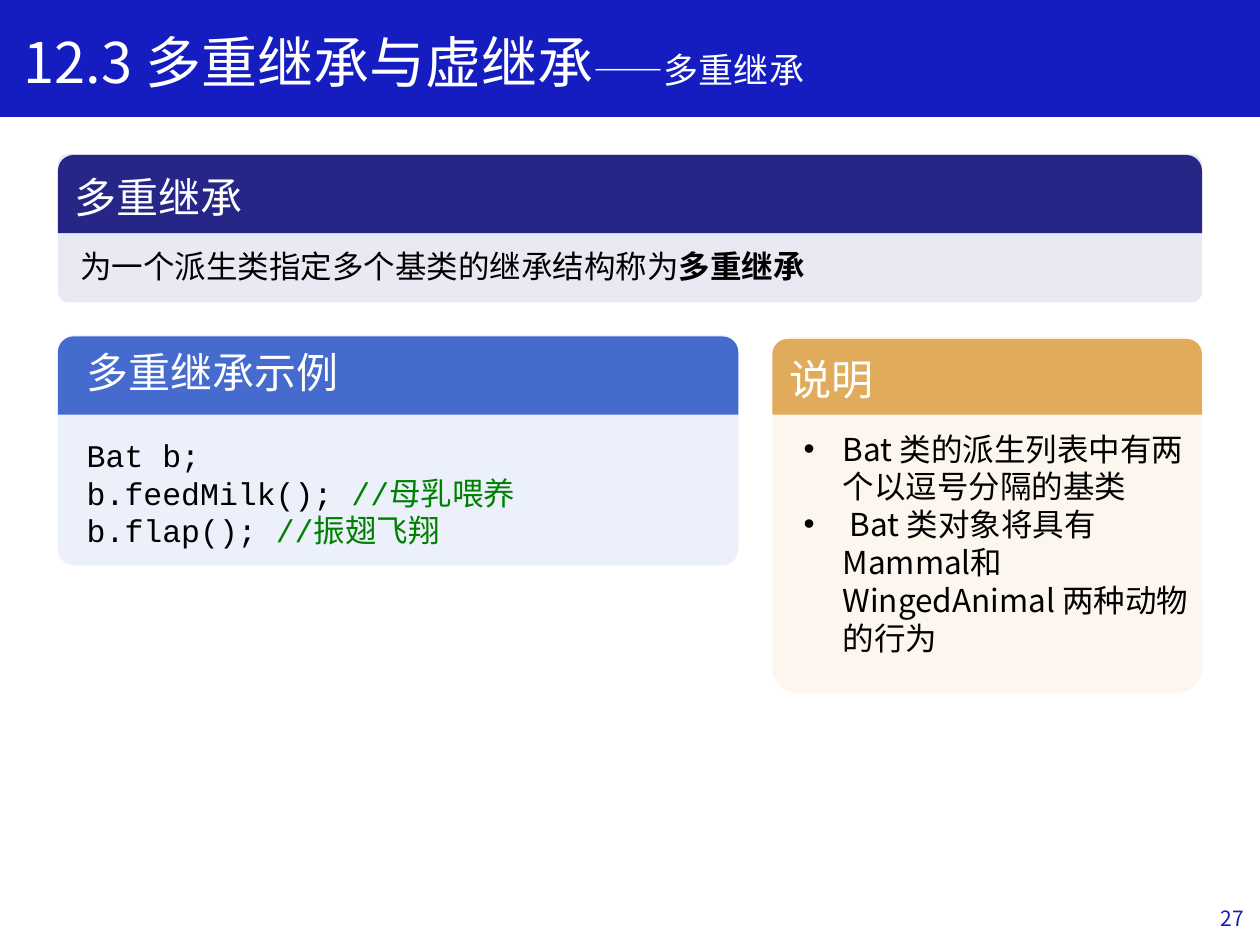
from lxml import etree
from pptx import Presentation
from pptx.dml.color import RGBColor
from pptx.enum.shapes import MSO_SHAPE as SHAPE
from pptx.enum.text import MSO_ANCHOR as ANCHOR, PP_ALIGN as ALIGN
from pptx.oxml.ns import qn
from pptx.util import Inches, Pt

COLORS = {
    "blue": "151DC1", "white": "FFFFFF", "black": "000000", "green": "008000",
    "navy": "262686", "navy_tint": "E9E9F3",
    "sky": "456BCF", "sky_tint": "ECF0FA",
    "amber": "E0AB5B", "amber_tint": "FCF6EE",
}
SANS, MONO = "Noto Sans CJK SC", "Courier New"


def add_block(shapes, kind, box, fill, adjustments=()):
    """Add a filled shape without outline; box is left, top, width, height in inches."""
    s = shapes.add_shape(kind, *map(Inches, box))
    s.shadow.inherit = False
    s.fill.solid()
    s.fill.fore_color.rgb = RGBColor.from_string(COLORS[fill])
    s.line.fill.background()
    for i, value in enumerate(adjustments):
        s.adjustments[i] = value
    return s


def write(s, paragraphs, size, color, anchor=ANCHOR.TOP, align=ALIGN.LEFT, bullet=False):
    """Fill a shape; each run is (text, overrides of size, color, font, bold, italic)."""
    tf = s.text_frame
    tf.word_wrap = True
    tf.vertical_anchor = anchor
    for i, runs in enumerate(paragraphs):
        p = tf.paragraphs[0] if i == 0 else tf.add_paragraph()
        p.alignment = align
        p.line_spacing = Pt(size * 1.2)
        if bullet:
            pPr = p._p.get_or_add_pPr()
            pPr.set("marL", str(Inches(0.31)))
            pPr.set("indent", str(-Inches(0.31)))
            etree.SubElement(pPr, qn("a:buFont"), typeface="Arial")
            etree.SubElement(pPr, qn("a:buChar"), char="•")
        for text, style in runs:
            r = p.add_run()
            r.text = text
            r.font.size = Pt(style.get("size", size))
            r.font.bold = style.get("bold", False)
            r.font.italic = style.get("italic", False)
            r.font.color.rgb = RGBColor.from_string(COLORS[style.get("color", color)])
            r.font.name = style.get("font", SANS)
            etree.SubElement(r._r.get_or_add_rPr(), qn("a:ea"), typeface=r.font.name)


prs = Presentation()
prs.slide_width, prs.slide_height = Inches(10), Inches(7.5)
slide = prs.slides.add_slide(prs.slide_layouts[6])
shapes = slide.shapes

# Title band and page number
band = add_block(shapes, SHAPE.RECTANGLE, (0, 0, 10, 0.92), "blue")
band.line.color.rgb = RGBColor.from_string(COLORS["blue"])
band.line.width = Pt(1)
number = shapes.add_textbox(Inches(7.72), Inches(7.09), Inches(2.25), Inches(0.4))
write(number, [[("27", {})]], 12, "blue", ANCHOR.MIDDLE, ALIGN.RIGHT)
title = shapes.add_textbox(Inches(0.09), Inches(0.17), Inches(7.77), Inches(0.64))
write(title, [[("12.3 多重继承与虚继承", {}), ("——多重继承", {"size": 20})]], 32, "white")

# Cards: left, width, body top and height, header top and height, colour, heading
cards = [
    (0.46, 9.08, 1.22, 1.18, 1.23, 0.62, "navy", "多重继承"),
    (6.13, 3.41, 2.67, 2.83, 2.69, 0.60, "amber", "说明"),
    (0.46, 5.40, 2.66, 1.83, 2.67, 0.62, "sky", None),
]
for left, width, top, height, head_top, head_height, color, heading in cards:
    card = shapes.add_group_shape().shapes
    add_block(card, SHAPE.ROUNDED_RECTANGLE, (left, top, width, height),
              color + "_tint", [0.072])
    header = add_block(card, SHAPE.ROUND_2_SAME_RECTANGLE,
                       (left, head_top, width, head_height), color, [0.201, 0])
    if heading:
        write(header, [[(heading, {})]], 24, "white", ANCHOR.MIDDLE)

example = shapes.add_textbox(Inches(0.59), Inches(2.7), Inches(4.03), Inches(0.5))
write(example, [[("多重继承示例", {})]], 24, "white")

# Card contents
definition = shapes.add_textbox(Inches(0.54), Inches(1.91), Inches(8.73), Inches(0.4))
write(definition, [[("为一个派生类指定多个基类的继承结构称为", {}),
                    ("多重继承", {"bold": True})]], 18, "black")

notes = shapes.add_textbox(Inches(6.28), Inches(3.36), Inches(3.26), Inches(1.92))
write(notes, [
    [("Bat 类的派生列表中有两个以逗号分隔的基类", {})],
    [(" ", {"italic": True}),
     ("Bat 类对象将具有Mammal和WingedAnimal 两种动物的行为", {})],
], 18, "black", bullet=True)

code_lines = [("Bat b;", ""), ("b.feedMilk(); ", "母乳喂养"), ("b.flap(); ", "振翅飞翔")]
paragraphs = []
for statement, comment in code_lines:
    runs = [(statement, {"font": MONO})]
    if comment:
        runs += [("//", {"font": MONO, "color": "green"}), (comment, {"color": "green"})]
    paragraphs.append(runs)
code = shapes.add_textbox(Inches(0.59), Inches(3.41), Inches(5), Inches(1.01))
write(code, paragraphs, 18, "black")

prs.save("out.pptx")
